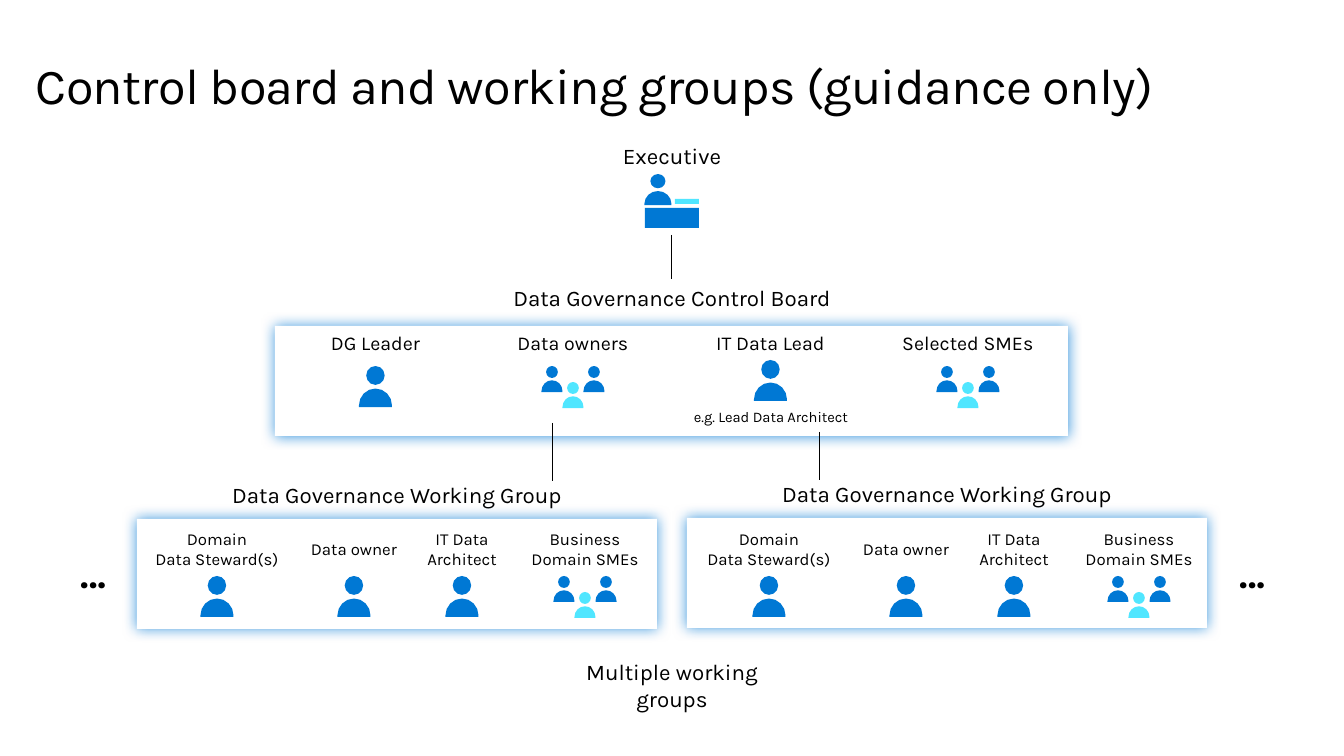
from math import cos, pi, sin

from lxml import etree
from pptx import Presentation
from pptx.dml.color import RGBColor
from pptx.enum.shapes import MSO_CONNECTOR, MSO_SHAPE
from pptx.enum.text import MSO_ANCHOR, PP_ALIGN
from pptx.oxml.ns import qn
from pptx.util import Emu, Pt

RECT = MSO_SHAPE.RECTANGLE
STRAIGHT = MSO_CONNECTOR.STRAIGHT
LEFT, CENTER = PP_ALIGN.LEFT, PP_ALIGN.CENTER
TOP, MIDDLE = MSO_ANCHOR.TOP, MSO_ANCHOR.MIDDLE

FONT = "Karla"
BLACK, WHITE, BLUE, CYAN = "000000", "FFFFFF", "0078D4", "50E6FF"
EMU_PER_PX = 12192000 / 1344


def px(n):
    return Emu(round(n * EMU_PER_PX))


def rgb(value):
    return RGBColor.from_string(value)


def paint(sp, color):
    """Flat fill with no outline and no shadow."""
    sp.fill.solid()
    sp.fill.fore_color.rgb = rgb(color)
    sp.line.fill.background()
    sp.shadow.inherit = False


def add_text(slide, text, cx, y, w, h, size=16, align=CENTER, anchor=TOP,
             padded=True, wrap=True, bold=False, spacing=0):
    """Text box centred on cx; each line of text is a paragraph."""
    tf = slide.shapes.add_textbox(px(cx - w / 2), px(y), px(w), px(h)).text_frame
    tf.word_wrap = wrap
    tf.vertical_anchor = anchor
    if not padded:
        tf.margin_left = tf.margin_right = tf.margin_top = tf.margin_bottom = 0
    for i, line in enumerate(text.split("\n")):
        p = tf.paragraphs[0] if i == 0 else tf.add_paragraph()
        p.alignment = align
        r = p.add_run()
        r.text = line
        r.font.name = FONT
        r.font.size = Pt(size)
        r.font.bold = bold
        r.font.color.rgb = rgb(BLACK)
        if spacing:
            r.font._element.set("spc", str(spacing))


def add_rect(shapes, x, y, w, h, color):
    sp = shapes.add_shape(RECT, px(x), px(y), px(w), px(h))
    paint(sp, color)
    return sp


def add_panel(slide, x, y, w, h):
    """White box with a blue glow-like shadow."""
    sp = add_rect(slide.shapes, x, y, w, h, WHITE)
    effects = sp._element.spPr.find(qn("a:effectLst"))
    shadow = etree.SubElement(effects, qn("a:outerShdw"), blurRad=str(Pt(10)),
                              dist="0", dir="0", algn="ctr", rotWithShape="0")
    color = etree.SubElement(shadow, qn("a:srgbClr"), val=BLUE)
    etree.SubElement(color, qn("a:alpha"), val="75000")


def add_line(slide, x, top, bottom):
    line = slide.shapes.add_connector(STRAIGHT, px(x), px(top), px(x), px(bottom))
    line.line.color.rgb = rgb(BLACK)
    line.line.width = Pt(0.75)
    etree.SubElement(line._element.spPr, qn("a:effectLst"))


def arc(cx, cy, rx, ry, start, end, steps):
    angles = [start + (end - start) * i / steps for i in range(steps + 1)]
    return [(px(cx + rx * cos(a)), px(cy + ry * sin(a))) for a in angles]


def add_person(shapes, cx, y, w=33, h=41, color=BLUE):
    """Round head over a domed body, as one outline."""
    head = arc(cx, y + 0.23 * h, 0.28 * w, 0.23 * h, 0, 2 * pi, 12)
    body = arc(cx, y + 0.96 * h, w / 2, 0.41 * h, pi, 2 * pi, 8)
    body += [(px(cx + w / 2), px(y + h)), (px(cx - w / 2), px(y + h))]
    builder = shapes.build_freeform(*head[0])
    builder.add_line_segments(head[1:-1])
    builder.move_to(*body[0])
    builder.add_line_segments(body[1:])
    paint(builder.convert_to_shape(), color)


def add_team(shapes, cx, y):
    team = shapes.add_group_shape().shapes
    for dx, dy, color in ((-21, 0, BLUE), (0, 16, CYAN), (21, 0, BLUE)):
        add_person(team, cx + dx, y + dy, 21, 26, color)


def add_executive(slide):
    add_text(slide, "Executive", 672, 142, 365, 27, padded=False)
    shapes = slide.shapes.add_group_shape().shapes
    add_rect(shapes, 645, 208, 54, 20, BLUE)
    add_rect(shapes, 675, 199, 24, 5, CYAN)
    add_person(shapes, 658, 174, 27, 31)


def add_control_board(slide):
    add_text(slide, "Data Governance Control Board", 672, 284, 365, 27, padded=False)
    add_panel(slide, 275, 326, 793, 110)
    members = (("DG Leader", add_person, 366), ("Data owners", add_team, 366),
               ("IT Data Lead", add_person, 360), ("Selected SMEs", add_team, 366))
    for i, (name, add_icon, y) in enumerate(members):
        cx = 375.5 + 197.5 * i
        add_text(slide, name, cx, 326, 182, 34, size=14)
        add_icon(slide.shapes, cx, y)
    add_text(slide, "e.g. Lead Data Architect", 771, 403, 231, 29, size=10.5)


def add_working_group(slide, x, y, centres):
    add_text(slide, "Data Governance Working Group", x + 260, y - 38, 417, 27, padded=False)
    add_panel(slide, x, y, 520, 110)
    steward, owner, architect, experts = centres
    add_text(slide, "Domain\nData Steward(s)", steward, 524, 156, 50, size=12)
    add_text(slide, "Data owner", owner, 534, 107, 30, size=12, wrap=False)
    add_text(slide, "IT Data Architect", architect, 524, 98, 50, size=12)
    add_text(slide, "Business Domain SMEs", experts, 524, 138, 50, size=12)
    for cx in (steward, owner, architect):
        add_person(slide.shapes, cx, 576)
    add_team(slide.shapes, experts, 576)


def main():
    prs = Presentation()
    prs.slide_width, prs.slide_height = px(1344), px(756)
    slide = prs.slides.add_slide(prs.slide_layouts[6])

    add_text(slide, "Control board and working groups (guidance only)", 644, 55, 1216, 59,
             size=36, align=LEFT, anchor=MIDDLE, padded=False, spacing=-50)
    add_executive(slide)
    add_control_board(slide)
    add_working_group(slide, 137, 519, (217, 354, 462, 585))
    add_working_group(slide, 687, 518, (769, 906, 1014, 1139))
    for x, top, bottom in ((672, 235, 279), (553, 423, 481), (820, 432, 480)):
        add_line(slide, x, top, bottom)
    for cx in (93, 1252):
        add_text(slide, "…", cx, 544, 56, 57, size=28, bold=True, wrap=False)
    add_text(slide, "Multiple working groups", 672, 653, 230, 64)

    prs.save("out.pptx")


if __name__ == "__main__":
    main()
